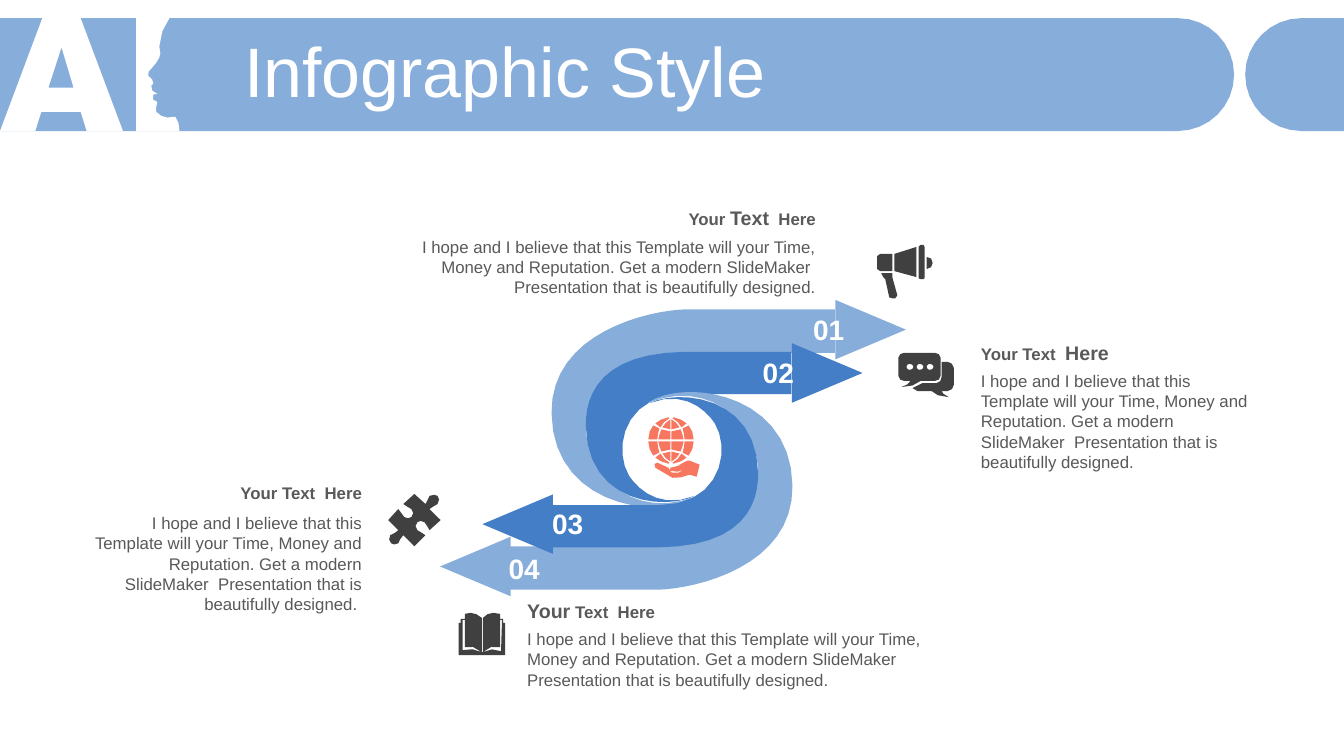
from dataclasses import dataclass
from math import ceil, dist

from pptx import Presentation
from pptx.dml.color import RGBColor
from pptx.enum.shapes import MSO_SHAPE
from pptx.enum.text import MSO_ANCHOR, MSO_AUTO_SIZE, PP_ALIGN
from pptx.util import Inches, Pt


@dataclass(frozen=True)
class Theme:
    font: str = "Arial"
    pale: str = "87ADDB"
    deep: str = "437EC7"
    white: str = "FFFFFF"
    gray: str = "595959"
    dark: str = "404040"
    coral: str = "F77660"
    title: int = 50
    label: int = 20
    large: int = 14
    small: int = 12


THEME = Theme()
LEFT, RIGHT, MID = PP_ALIGN.LEFT, PP_ALIGN.RIGHT, PP_ALIGN.CENTER

BAR = ("M 0 .18 L 11.68 .18 C 11.99 .18 12.24 .43 12.24 .74 "
       "C 12.24 1.05 11.99 1.3 11.68 1.3 L 0 1.3 Z")
TAB = ("M 12.91 .18 L 13.33 .18 L 13.33 1.3 L 12.91 1.3 "
       "C 12.6 1.3 12.35 1.05 12.35 .74 C 12.35 .43 12.6 .18 12.91 .18 Z")
LETTERS = (
    "M .61 .47 L .48 .87 L .73 .87 Z "
    "M .42 .18 L .8 .18 L 1.22 1.3 L .86 1.3 L .8 1.11 L .41 1.11 L .35 1.3 L 0 1.3 Z "
    "M 1.35 .18 L 1.68 .18 L 1.61 .31 L 1.58 .46 L 1.59 .53 L 1.58 .57 "
    "C 1.57 .59 1.53 .66 1.51 .67 C 1.48 .69 1.46 .73 1.47 .75 "
    "L 1.51 .79 L 1.52 .83 L 1.5 .85 L 1.51 .9 L 1.56 .93 L 1.52 .94 L 1.52 .99 L 1.56 1.01 "
    "L 1.55 1.06 C 1.54 1.09 1.54 1.13 1.6 1.15 "
    "C 1.64 1.17 1.68 1.17 1.72 1.16 L 1.74 1.16 L 1.77 1.22 L 1.78 1.3 L 1.35 1.3 Z")
OUTER = ("M 6.79 3.07 L 8.28 3.07 L 8.28 3.5 L 6.8 3.5 C 6.34 3.5 5.88 3.67 5.81 4.16 "
         "C 5.77 4.67 6.26 5.19 6.91 4.92 C 6.57 5.17 5.48 5.04 5.47 4.1 "
         "C 5.46 3.29 6.45 3.08 6.79 3.07 Z")
INNER = ("M 6.89 4.92 C 6.61 5.06 5.82 5.01 5.81 4.22 C 5.81 3.91 5.96 3.5 6.8 3.49 "
         "L 7.85 3.49 L 7.85 3.91 L 6.79 3.91 C 6.18 3.91 6.08 4.46 6.24 4.72 "
         "C 6.32 4.84 6.53 5.06 6.89 4.92 Z")
QUARTER = (
    "M 6.66 4.28 L 6.75 4.26 C 6.77 4.29 6.77 4.33 6.78 4.36 L 6.66 4.36 Z "
    "M 6.83 4.22 C 6.86 4.25 6.88 4.31 6.88 4.36 L 6.79 4.36 "
    "C 6.79 4.32 6.78 4.29 6.77 4.25 L 6.83 4.22 Z "
    "M 6.66 4.16 C 6.7 4.18 6.72 4.21 6.74 4.24 L 6.66 4.26 Z "
    "M 6.68 4.14 C 6.73 4.15 6.78 4.17 6.81 4.2 L 6.76 4.24 "
    "C 6.74 4.2 6.71 4.17 6.67 4.15 Z")
HAND = (
    "M 6.84 4.57 L 6.94 4.61 L 6.91 4.73 L 6.84 4.71 "
    "C 6.79 4.72 6.71 4.76 6.67 4.74 L 6.5 4.64 "
    "C 6.48 4.61 6.49 4.59 6.52 4.59 L 6.63 4.64 "
    "C 6.6 4.7 6.7 4.69 6.73 4.69 L 6.78 4.66 L 6.72 4.68 C 6.66 4.69 6.6 4.66 6.65 4.64 "
    "C 6.67 4.63 6.69 4.64 6.73 4.62 C 6.76 4.61 6.77 4.58 6.82 4.57 Z")
BOOK = (
    "M 4.78 6.47 L 4.79 6.47 C 4.86 6.44 4.9 6.43 4.97 6.46 L 4.98 6.15 L 4.96 6.15 "
    "L 4.96 6.42 C 4.9 6.4 4.84 6.42 4.79 6.47 L 4.79 6.13 C 4.82 6.1 4.85 6.08 4.89 6.08 "
    "L 4.96 6.09 L 4.96 6.14 L 4.99 6.14 L 4.99 6.18 L 5.01 6.18 "
    "L 5.01 6.5 L 4.55 6.5 L 4.55 6.18 L 4.57 6.18 L 4.57 6.14 L 4.61 6.14 L 4.61 6.09 "
    "L 4.67 6.08 C 4.71 6.08 4.74 6.1 4.78 6.13 L 4.78 6.47 "
    "C 4.72 6.42 4.66 6.4 4.61 6.42 L 4.61 6.15 L 4.59 6.15 L 4.59 6.45 "
    "C 4.66 6.42 4.71 6.45 4.78 6.47 Z")
DOT = ("M 9.22 3.61 C 9.21 3.61 9.19 3.62 9.19 3.64 C 9.19 3.66 9.21 3.67 9.22 3.67 "
       "C 9.24 3.67 9.26 3.66 9.26 3.64 C 9.26 3.62 9.24 3.61 9.22 3.61 Z")
CHAT = (
    "M 9.34 3.59 L 9.4 3.59 C 9.43 3.59 9.46 3.62 9.46 3.65 L 9.46 3.82 "
    "C 9.46 3.85 9.43 3.88 9.4 3.88 L 9.34 3.88 C 9.35 3.9 9.35 3.91 9.41 3.94 "
    "C 9.3 3.93 9.29 3.92 9.24 3.88 L 9.1 3.88 L 9.05 3.85 "
    "L 9.15 3.8 L 9.29 3.8 C 9.32 3.8 9.34 3.77 9.34 3.74 Z "
    "M 8.97 3.5 L 9.27 3.5 C 9.3 3.5 9.33 3.52 9.33 3.55 L 9.33 3.73 "
    "C 9.33 3.76 9.3 3.78 9.27 3.78 L 9.13 3.78 C 9.07 3.83 9.04 3.83 8.94 3.84 "
    "C 9 3.81 9.01 3.82 9.03 3.78 L 8.97 3.78 C 8.94 3.78 8.91 3.76 8.91 3.73 "
    "L 8.91 3.55 C 8.91 3.52 8.94 3.5 8.97 3.5 Z")
HORN = (
    "M 8.85 2.71 L 8.85 2.75 L 8.9 2.93 L 8.88 2.96 L 8.85 2.96 L 8.82 2.95 "
    "L 8.78 2.77 L 8.76 2.75 L 8.74 2.71 Z "
    "M 9.19 2.55 C 9.23 2.55 9.25 2.57 9.25 2.61 C 9.25 2.64 9.23 2.67 9.19 2.67 Z "
    "M 8.73 2.52 L 8.85 2.52 L 8.85 2.69 L 8.73 2.69 L 8.7 2.67 L 8.7 2.54 Z "
    "M 9.09 2.45 L 9.09 2.75 L 8.87 2.69 L 8.87 2.52 Z "
    "M 9.13 2.43 L 9.16 2.43 L 9.17 2.45 L 9.17 2.76 L 9.16 2.77 L 9.13 2.77 "
    "L 9.11 2.76 L 9.11 2.45 Z")
PUZZLE = (
    "M 4.34 4.92 C 4.36 4.94 4.36 4.97 4.34 5 C 4.32 5.03 4.29 5.01 4.26 5.05 "
    "L 4.37 5.16 L 4.26 5.26 C 4.23 5.23 4.24 5.2 4.21 5.18 C 4.19 5.16 4.15 5.17 4.14 5.18 "
    "C 4.12 5.2 4.11 5.24 4.14 5.26 C 4.17 5.29 4.18 5.27 4.22 5.31 L 4.11 5.42 L 4 5.31 "
    "C 3.96 5.34 3.98 5.35 3.95 5.39 C 3.93 5.41 3.89 5.4 3.88 5.39 "
    "C 3.86 5.37 3.85 5.34 3.87 5.31 C 3.9 5.28 3.93 5.3 3.95 5.26 L 3.85 5.16 L 3.95 5.05 "
    "C 3.99 5.08 3.98 5.11 4.01 5.13 C 4.03 5.15 4.07 5.14 4.08 5.13 "
    "C 4.1 5.11 4.11 5.07 4.08 5.05 C 4.05 5.02 4.04 5.04 4 5 L 4.11 4.9 L 4.22 5 "
    "C 4.25 4.97 4.23 4.96 4.26 4.92 C 4.29 4.9 4.33 4.91 4.34 4.92 Z")

BODY = ("I hope and I believe that this Template will your Time, Money and Reputation. "
        "Get a modern SlideMaker  Presentation that is beautifully designed.")
NOTES = (
    (4.07, 1.99, 4.12, .31, RIGHT, (("Your ", 0), ("Text", 1), ("  Here", 0)), BODY),
    (9.63, 3.33, 2.98, .3, LEFT, (("Your Text  ", 0), ("Here", 1)), BODY),
    (.72, 4.74, 2.97, .3, RIGHT, (("Your Text  Here", 0),), BODY + " "),
    (5.13, 5.89, 4.12, .3, LEFT, (("Your", 1), (" Text  Here", 0)), BODY))


def trace(route):
    loops = []
    for part in route.replace("Z", "").split("M")[1:]:
        loop = []
        for step in part.replace("L", "|").replace("C", "|").split("|"):
            nums = [float(n) for n in step.split()]
            knots = list(zip(nums[::2], nums[1::2]))
            if len(knots) == 3:
                knots = bend(loop[-1], *knots)
            loop += knots
        loops.append(loop)
    return loops


def bend(a, b, c, d):
    count = max(2, ceil(9 * dist(a, d)))
    times = [n / count for n in range(1, count + 1)]
    return [tuple((1 - t) ** 3 * p + 3 * t * (1 - t) ** 2 * q + 3 * t * t * (1 - t) * r + t ** 3 * s
                  for p, q, r, s in zip(a, b, c, d)) for t in times]


def flip(loops, wide=None, high=None):
    return [[(wide - x if wide else x, high - y if high else y) for x, y in loop]
            for loop in loops]


def shift(loops, gap):
    return [[(x + gap, y) for x, y in loop] for loop in loops]


def paint(shape, tint):
    shape.shadow.inherit = False
    shape.fill.solid()
    shape.fill.fore_color.rgb = RGBColor.from_string(tint)
    shape.line.fill.background()


def draw(slide, loops, tint):
    spots = [[(Inches(x), Inches(y)) for x, y in loop] for loop in loops]
    pen = slide.shapes.build_freeform(*spots[0][0])
    pen.add_line_segments(spots[0][1:])
    for loop in spots[1:]:
        pen.move_to(*loop[0])
        pen.add_line_segments(loop[1:])
    paint(pen.convert_to_shape(), tint)


def point(slide, left, top, turn, tint):
    tip = slide.shapes.add_shape(MSO_SHAPE.ISOSCELES_TRIANGLE, Inches(left), Inches(top),
                                 Inches(.59), Inches(.7))
    tip.rotation = turn
    paint(tip, tint)


def dress(item, values):
    for name, value in values.items():
        setattr(item, name, value)


def write(frame, runs, tint, align, bold=False):
    line = frame.paragraphs[0]
    line.alignment = align
    for text, size in runs:
        run = line.add_run()
        run.text = text
        dress(run.font, {"name": THEME.font, "size": Pt(size), "bold": bold})
        run.font.color.rgb = RGBColor.from_string(tint)
    return line


def label(slide, place, *style):
    box = slide.shapes.add_textbox(*map(Inches, place))
    dress(box.text_frame, {"word_wrap": True, "auto_size": MSO_AUTO_SIZE.SHAPE_TO_FIT_TEXT})
    write(box.text_frame, *style)


def head(slide):
    for route, tint in ((BAR, THEME.pale), (LETTERS, THEME.white), (TAB, THEME.pale)):
        draw(slide, trace(route), tint)
    title = slide.shapes.title
    title.element.getparent().append(title.element)
    dress(title, dict(zip(("left", "top", "width", "height"), map(Inches, (2.32, .37, 10.69, .79)))))
    dress(title.text_frame, {"word_wrap": True, "auto_size": MSO_AUTO_SIZE.NONE,
                             "vertical_anchor": MSO_ANCHOR.MIDDLE})
    line = write(title.text_frame, [("Infographic Style", THEME.title)], THEME.white, LEFT)
    dress(line, {"line_spacing": .8, "space_before": Pt(0)})


def note(slide, left, top, width, drop, align, runs, body):
    sizes = (THEME.small, THEME.large)
    high = .71 if width > 4 else 1.11
    label(slide, (left, top, width, drop), [(text, sizes[big]) for text, big in runs],
          THEME.gray, align, True)
    label(slide, (left, top + drop, width, high), [(body, THEME.small)], THEME.gray, align)


def swirl(slide):
    outer, inner = trace(OUTER), trace(INNER)
    draw(slide, outer, THEME.pale)
    point(slide, 8.34, 2.92, 90, THEME.pale)
    point(slide, 7.91, 3.35, 90, THEME.deep)
    draw(slide, inner, THEME.deep)
    draw(slide, flip(outer, 13.33, 8.92), THEME.pale)
    point(slide, 4.42, 5.27, 270, THEME.pale)
    draw(slide, flip(inner, 13.33, 8.92), THEME.deep)
    point(slide, 4.84, 4.85, 270, THEME.deep)
    spots = ((7.8, 3.05), (7.3, 3.48), (5.21, 4.98), (4.78, 5.42))
    for rank, spot in enumerate(spots, 1):
        label(slide, (*spot, .84, .44), [(f"{rank:02}", THEME.label)], THEME.white, MID, True)


def icons(slide):
    cells = trace(QUARTER)
    half = cells + flip(cells, wide=13.31)
    draw(slide, trace(HAND) + half + flip(half, high=8.74), THEME.coral)
    dots = [loop for n in range(3) for loop in shift(trace(DOT), -.1 * n)]
    for loops in (trace(BOOK), dots + trace(CHAT), trace(HORN), trace(PUZZLE)):
        draw(slide, loops, THEME.dark)


def main():
    deck = Presentation()
    dress(deck, {"slide_width": Inches(13.33), "slide_height": Inches(7.5)})
    slide = deck.slides.add_slide(deck.slide_layouts[5])
    head(slide)
    for item in NOTES:
        note(slide, *item)
    swirl(slide)
    icons(slide)
    deck.save("out.pptx")


if __name__ == "__main__":
    main()
